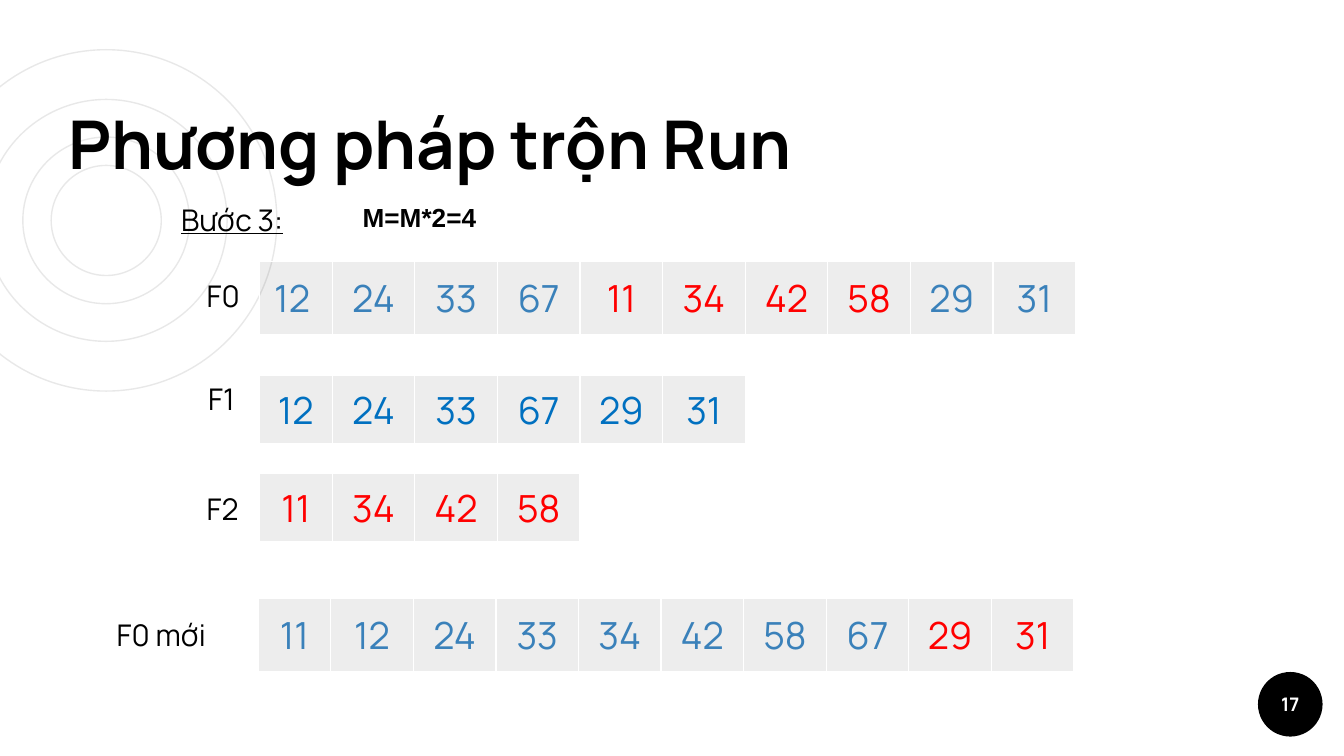
import pptx
import pptx.chart.data
import pptx.dml.color
import pptx.enum.shapes
import pptx.enum.text
import pptx.oxml
import pptx.oxml.ns
import pptx.util

Pt = pptx.util.Pt
Align = pptx.enum.text.PP_ALIGN
Anchor = pptx.enum.text.MSO_ANCHOR
OVAL = pptx.enum.shapes.MSO_SHAPE.OVAL
HUES = {"black": "000000", "white": "FFFFFF", "ring": "E8E8E8",
        "blue": "3A81BA", "deep": "0070C0", "red": "FF0000"}
NS = pptx.oxml.ns.nsdecls("a")


def rgb(hue):
    return pptx.dml.color.RGBColor.from_string(HUES[hue])


def write(frame, text, size, hue="black", bold=False, face="Manrope"):
    """Put one run in the first paragraph of the frame and return the run."""
    run = frame.paragraphs[0].add_run()
    run.text = text
    run.font.size = Pt(size)
    run.font.name = face
    run.font.bold = bold
    run.font.color.rgb = rgb(hue)
    return run


deck = pptx.Presentation()
deck.slide_width, deck.slide_height = Pt(720), Pt(405)
slide = deck.slides.add_slide(deck.slide_layouts[6])
shapes = slide.shapes

# Rings around one centre
for size in (182.9, 89.3, 129.6, 59):
    ring = shapes.add_shape(OVAL, Pt(56.9 - size / 2), Pt(118.1 - size / 2),
                            Pt(size), Pt(size))
    ring.shadow.inherit = False
    ring.fill.background()
    ring.line.color.rgb = rgb("ring")
    ring.line.width = Pt(0.75)

# Page number
badge = shapes.add_shape(OVAL, Pt(673.9), Pt(360), Pt(34.6), Pt(34.6))
badge.shadow.inherit = False
badge.fill.solid()
badge.fill.fore_color.rgb = rgb("black")
badge.line.fill.background()
frame = badge.text_frame
frame.word_wrap = False
frame.vertical_anchor = Anchor.MIDDLE
frame.margin_left = frame.margin_right = Pt(0)
write(frame, "17", 10, "white", True)
frame.paragraphs[0].alignment = Align.CENTER

# Title
title = shapes.add_textbox(Pt(29.5), Pt(51.1), Pt(411), Pt(54))
frame = title.text_frame
frame.word_wrap = True
frame.vertical_anchor = Anchor.BOTTOM
frame.margin_top = frame.margin_bottom = Pt(7.2)
write(frame, "Phương pháp trộn Run", 36, bold=True)

# Step and row labels
for text, left, top, width in (
        ("Bước 3:", 90, 104.4, 82.8), ("F0", 103.7, 145.4, 69.1),
        ("F1", 104.4, 200.2, 69.1), ("F2", 103.7, 259.2, 69.1),
        ("F0 mới", 55.4, 326.9, 69.1)):
    box = shapes.add_textbox(Pt(left), Pt(top), Pt(width), Pt(26.6))
    box.text_frame.word_wrap = True
    run = write(box.text_frame, text, 16)
    if text.endswith(":"):
        run.font.underline = True

note = shapes.add_textbox(Pt(187.2), Pt(104.4), Pt(75.6), Pt(41))
note.text_frame.word_wrap = False
write(note.text_frame, "M=M*2=4", 14, bold=True, face="Arial")

# Files: left, top, height, then runs of numbers by colour
files = (
    (139, 139.9, 39.6, (("blue", ("12 ", "24", "33", "67")),
                        ("red", ("11", "34", "42", "58")),
                        ("blue", ("29", "31")))),
    (139, 200.9, 37, (("deep", ("12", "24", "33", "67", "29", "31")),)),
    (139, 253.4, 37, (("red", ("11", "34", "42", "58")),)),
    (138.2, 320.4, 39.6, (("blue", ("11", "12", "24", "33", "34", "42",
                                    "58", "67")),
                          ("red", ("29", "31")))),
)
for left, top, high, runs in files:
    items = [(num, hue) for hue, nums in runs for num in nums]
    wides = [39] + [44.25] * (len(items) - 1)
    grid = shapes.add_table(1, len(items), Pt(left), Pt(top),
                            Pt(sum(wides)), Pt(high)).table
    grid.first_row = grid.horz_banding = False
    for col, (num, hue) in enumerate(items):
        grid.columns[col].width = Pt(wides[col])
        cell = grid.cell(0, col)
        cell.vertical_anchor = Anchor.MIDDLE
        cell.margin_left = cell.margin_right = Pt(7.2)
        cell.margin_top = cell.margin_bottom = Pt(5)
        write(cell.text_frame, num, 20, hue)
        cell.text_frame.paragraphs[0].alignment = Align.CENTER
        props = cell._tc.get_or_add_tcPr()
        for side in "LRTB":
            props.append(pptx.oxml.parse_xml(
                f'<a:ln{side} {NS} w="9525"><a:solidFill><a:srgbClr '
                f'val="{HUES["white"]}"/></a:solidFill></a:ln{side}>'))
        cell.fill.solid()
        cell.fill.fore_color.rgb = rgb("black")
        tint = props.find(pptx.oxml.ns.qn("a:solidFill"))[0]
        tint.append(pptx.oxml.parse_xml(f'<a:alpha {NS} val="7000"/>'))

deck.save("out.pptx")
